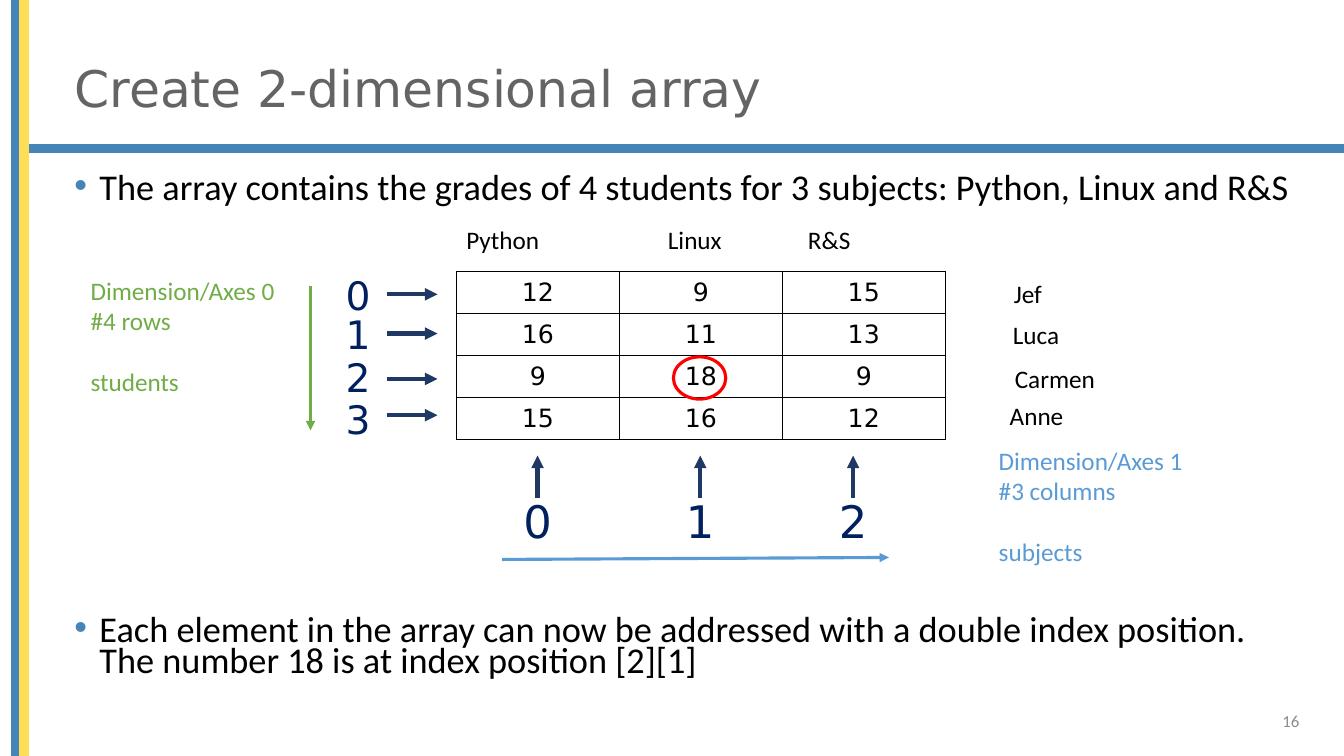
from dataclasses import dataclass

import pptx
import pptx.dml.color
import pptx.enum.shapes
import pptx.enum.text
import pptx.oxml
import pptx.oxml.ns
import pptx.util
from lxml import etree

Pt = pptx.util.Pt
RGBColor = pptx.dml.color.RGBColor
Shape = pptx.enum.shapes.MSO_SHAPE
Align = pptx.enum.text.PP_ALIGN
Anchor = pptx.enum.text.MSO_ANCHOR
qn = pptx.oxml.ns.qn

BLUE = RGBColor(0x45, 0x84, 0xB6)
YELLOW = RGBColor(0xFF, 0xDE, 0x57)
TITLE_GRAY = RGBColor(0x64, 0x64, 0x64)
NUMBER_GRAY = RGBColor(0x8C, 0x8C, 0x8C)
BLACK = RGBColor(0, 0, 0)
INDEX_NAVY = RGBColor(0x00, 0x20, 0x60)
ARROW_NAVY = RGBColor(0x20, 0x38, 0x64)
ROW_GREEN = RGBColor(0x70, 0xAD, 0x47)
COLUMN_BLUE = RGBColor(0x5B, 0x9B, 0xD5)
RED = RGBColor(0xFF, 0, 0)
SANS = "DejaVu Sans"
CALIBRI = "Calibri"

GRID_LEFT, GRID_TOP = 326, 194.2
CELL_WIDTH, CELL_HEIGHT = 116.4, 30


@dataclass
class Style:
    size: float
    color: RGBColor = BLACK
    font: str = CALIBRI
    align: Align = Align.LEFT


@dataclass
class Student:
    name: str
    name_left: float
    name_top: float
    index_top: float
    arrow_y: float
    grades: tuple[int, ...]


@dataclass
class Axis:
    lines: tuple[str, ...]
    left: float
    top: float
    color: RGBColor
    start: tuple[float, float]
    end: tuple[float, float]


STUDENTS = [
    Student("Jef", 717.1, 195.1, 190, 210.2, (12, 9, 15)),
    Student("Luca", 716.4, 224.6, 218.2, 238.3, (16, 11, 13)),
    Student("Carmen", 717.8, 256.3, 249.1, 270.7, (9, 18, 9)),
    Student("Anne", 714.2, 282.2, 278.6, 296.6, (15, 16, 12)),
]
COLUMN_CENTERS = [384, 500.2, 609.4]
AXES = [
    Axis(("Dimension/Axes 0", "#4 rows", "students"), 57.6, 193,
         ROW_GREEN, (221.8, 204.5), (221.8, 307.4)),
    Axis(("Dimension/Axes 1", "#3 columns", "subjects"), 706.3, 314.6,
         COLUMN_BLUE, (358.6, 399.6), (635, 398.2)),
]
BODY = [
    "The array contains the grades of 4 students for 3 subjects: Python, Linux and R&S",
    "Each element in the array can now be addressed with a double index position. "
    "The number 18 is at index position [2][1]",
]


def write(para, text: str, style: Style) -> None:
    para.alignment = style.align
    span = para.add_run()
    span.text = text
    span.font.size = Pt(style.size)
    span.font.name = style.font
    span.font.color.rgb = style.color


def add_text(page, left: float, top: float, width: float, height: float,
             lines: tuple[str, ...], style: Style, anchor: Anchor = Anchor.TOP):
    """Add a wrapping text box with one paragraph per line; return its paragraphs."""
    box = page.shapes.add_textbox(Pt(left), Pt(top), Pt(width), Pt(height))
    frame = box.text_frame
    frame.word_wrap = True
    frame.vertical_anchor = anchor
    for number, line in enumerate(lines):
        para = frame.add_paragraph() if number else frame.paragraphs[0]
        write(para, line, style)
    return frame.paragraphs


def add_bar(page, left: float, top: float, width: float, height: float,
            color: RGBColor) -> None:
    bar = page.shapes.add_shape(Shape.RECTANGLE, Pt(left), Pt(top), Pt(width), Pt(height))
    bar.shadow.inherit = False
    bar.fill.solid()
    bar.fill.fore_color.rgb = color
    bar.line.color.rgb = color
    bar.line.width = Pt(1)


def add_arrow(page, start: tuple[float, float], end: tuple[float, float],
              color: RGBColor, width: float) -> None:
    arrow = page.shapes.add_connector(
        pptx.enum.shapes.MSO_CONNECTOR.STRAIGHT, *(Pt(value) for value in start + end))
    arrow.line.color.rgb = color
    arrow.line.width = Pt(width)
    etree.SubElement(arrow.line._get_or_add_ln(), qn("a:tailEnd"), type="triangle")
    etree.SubElement(arrow._element.spPr, qn("a:effectLst"))


def add_borders(cell) -> None:
    properties = cell._tc.get_or_add_tcPr()
    for position, side in enumerate(("a:lnL", "a:lnR", "a:lnT", "a:lnB")):
        border = etree.Element(qn(side), w=str(Pt(0.75)))
        fill = etree.SubElement(border, qn("a:solidFill"))
        etree.SubElement(fill, qn("a:srgbClr"), val=str(BLACK))
        properties.insert(position, border)


def add_grades(page) -> None:
    rows, columns = len(STUDENTS), len(COLUMN_CENTERS)
    table = page.shapes.add_table(
        rows, columns, Pt(GRID_LEFT), Pt(GRID_TOP),
        Pt(columns * CELL_WIDTH), Pt(rows * CELL_HEIGHT)).table
    table.first_row = table.horz_banding = False
    for column in table.columns:
        column.width = Pt(CELL_WIDTH)
    for row, student in zip(table.rows, STUDENTS):
        row.height = Pt(CELL_HEIGHT)
        for cell, grade in zip(row.cells, student.grades):
            cell.fill.background()
            cell.margin_top = cell.margin_bottom = 0
            cell.vertical_anchor = Anchor.MIDDLE
            write(cell.text_frame.paragraphs[0], str(grade),
                  Style(18, font=SANS, align=Align.CENTER))
            add_borders(cell)


def add_body(page) -> None:
    paragraphs = add_text(page, 46, 122.4, 889, 406.8, BODY, Style(25.9))
    for para, gap in zip(paragraphs, (10, 294)):
        para.line_spacing = 0.7
        para.space_before = Pt(gap)
        properties = para._p.get_or_add_pPr()
        properties.set("marL", str(Pt(18)))
        properties.set("indent", str(-Pt(18)))
        color = etree.SubElement(properties, qn("a:buClr"))
        etree.SubElement(color, qn("a:srgbClr"), val=str(BLUE))
        etree.SubElement(properties, qn("a:buFont"), typeface="Arial")
        etree.SubElement(properties, qn("a:buChar"), char="•")


def add_subjects(page) -> None:
    para = add_text(page, GRID_LEFT, 157, 349.2, 30, ("Python\tLinux\tR&S",), Style(18))[0]
    stops = etree.SubElement(para._p.get_or_add_pPr(), qn("a:tabLst"))
    for position in (144, 244):
        etree.SubElement(stops, qn("a:tab"), pos=str(Pt(position)), algn="l")


def main() -> None:
    deck = pptx.Presentation()
    deck.slide_width, deck.slide_height = Pt(960), Pt(540)
    page = deck.slides.add_slide(deck.slide_layouts[6])

    add_bar(page, 20, 103.3, 940, 5.8, BLUE)
    add_bar(page, 8.6, 0, 5.8, 540, BLUE)
    add_bar(page, 14.4, 0, 5.8, 540, YELLOW)
    title = add_text(page, 46, 28.8, 848, 72.7, ("Create 2-dimensional array",),
                     Style(36, TITLE_GRAY, SANS), Anchor.MIDDLE)
    title[0].line_spacing = 0.9
    add_body(page)
    add_text(page, 719.3, 500.4, 216, 28.8, ("16",),
             Style(12, NUMBER_GRAY, align=Align.RIGHT), Anchor.MIDDLE)

    add_grades(page)
    add_subjects(page)
    for index, student in enumerate(STUDENTS):
        add_text(page, 235.4, student.index_top, 41, 28.8, (str(index),),
                 Style(28, INDEX_NAVY, SANS, Align.CENTER))
        add_arrow(page, (276.5, student.arrow_y), (312.5, student.arrow_y), ARROW_NAVY, 3)
        add_text(page, student.name_left, student.name_top, 74.2, 28.8,
                 (student.name,), Style(18))
    for index, center in enumerate(COLUMN_CENTERS):
        add_text(page, center - 25.5, 349.2, 51, 46, (str(index),),
                 Style(32, INDEX_NAVY, SANS, Align.CENTER))
        add_arrow(page, (center, 355.7), (center, 325.4), ARROW_NAVY, 3)
    for axis in AXES:
        paragraphs = add_text(page, axis.left, axis.top, 151, 94.3, axis.lines,
                              Style(18, axis.color))
        paragraphs[-1].space_before = Pt(22)
        add_arrow(page, axis.start, axis.end, axis.color, 2.25)

    highlight = page.shapes.add_shape(Shape.OVAL, Pt(481), Pt(254.9), Pt(37.4), Pt(30.2))
    highlight.shadow.inherit = False
    highlight.fill.background()
    highlight.line.color.rgb = RED
    highlight.line.width = Pt(2.25)
    deck.save("out.pptx")


if __name__ == "__main__":
    main()
